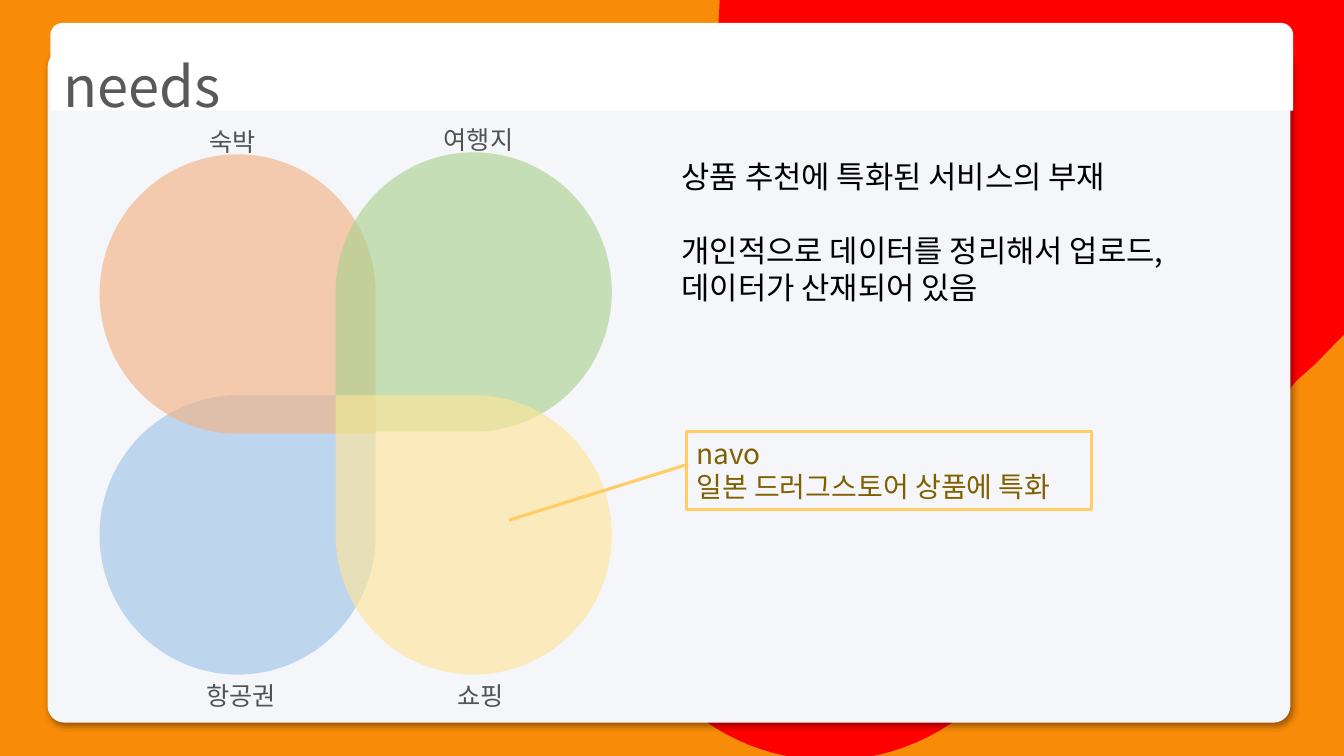
from lxml import etree
from pptx import Presentation
from pptx.dml.color import RGBColor
from pptx.enum.shapes import MSO_SHAPE
from pptx.enum.text import MSO_ANCHOR, PP_ALIGN
from pptx.oxml.ns import qn
from pptx.util import Cm, Pt

CARD = MSO_SHAPE.ROUNDED_RECTANGLE
HEADER = MSO_SHAPE.ROUND_2_SAME_RECTANGLE
PETAL = MSO_SHAPE.TEAR
CALLOUT = MSO_SHAPE.LINE_CALLOUT_1
LEFT, CENTER = PP_ALIGN.LEFT, PP_ALIGN.CENTER
TOP, MIDDLE = MSO_ANCHOR.TOP, MSO_ANCHOR.MIDDLE

FONT = "Noto Sans CJK KR"
COLORS = {
    "background": "F88B08", "swoosh": "FF0000", "card": "F5F6F9", "header": "FFFFFF",
    "title": "595959", "body": "000000", "label": "525252",
    "blue": "9DC3E6", "orange": "F4B183", "green": "A9D18E", "yellow": "FFE699",
    "callout_line": "FFCC66", "callout_text": "806000", "shadow": "000000",
}

TITLE = ["needs"]
BODY = ["상품 추천에 특화된 서비스의 부재", "개인적으로 데이터를 정리해서 업로드,데이터가 산재되어 있음"]
CALLOUT_LINES = ["navo", "일본 드러그스토어 상품에 특화"]

PETAL_SIZE = (6.96, 7.04)
PETALS = [
    ("blue", 2.51, 9.96, ()),
    ("orange", 2.51, 3.89, ("flipV",)),
    ("green", 8.46, 3.84, ("flipH", "flipV")),
    ("yellow", 8.46, 9.96, ("flipH",)),
]
LABEL_SIZE = (2.84, 1.14)
GROUPED_LABELS = [("숙박", 4.45, 3.07), ("여행지", 10.64, 3.0), ("항공권", 4.65, 17.02)]
SHOPPING_LABEL = ("쇼핑", 10.69, 17.02)

SWOOSH_START = (33.87, 0)
SWOOSH = [
    [(33.87, 8.43)], [(33.15, 9.17)], [(32.69, 9.58)], [(32.56, 9.73)],
    [(32.46, 9.88), (32.33, 10.01), (32.18, 10.16)],
    [(24.79, 17.55)],
    [(22.78, 19.56), (19.61, 19.69), (17.45, 17.93)],
    [(17.02, 17.55)], [(16.64, 17.15)],
    [(14.88, 14.99), (15.01, 11.79), (17.02, 9.78)],
    [(20.85, 5.97)], [(19.99, 5.11)],
    [(18.75, 3.84), (18.11, 2.18), (18.11, 0.56)],
    [(18.14, 0)],
]
CURVE_STEPS = 24


def rgb(name):
    return RGBColor.from_string(COLORS[name])


def paint(shape, color, opacity=100):
    shape.shadow.inherit = False
    shape.line.fill.background()
    shape.fill.solid()
    shape.fill.fore_color.rgb = rgb(color)
    if opacity < 100:
        tint = next(shape._element.spPr.iter(qn("a:srgbClr")))
        etree.SubElement(tint, qn("a:alpha"), val=str(opacity * 1000))


def add_shape(shapes, kind, left, top, width, height, adjustments=()):
    shape = shapes.add_shape(kind, Cm(left), Cm(top), Cm(width), Cm(height))
    for index, value in enumerate(adjustments):
        shape.adjustments[index] = value
    return shape


def write(box, lines, size, color, align=LEFT, anchor=TOP, gap=0, spacing=None):
    frame = box.text_frame
    frame.word_wrap = True
    frame.vertical_anchor = anchor
    frame.text = "\n".join(lines)
    for index, para in enumerate(frame.paragraphs):
        para.alignment = align
        if spacing:
            para.line_spacing = spacing
        if index and gap:
            para.space_before = Pt(gap)
        for span in para.runs:
            span.font.size = Pt(size)
            span.font.name = FONT
            span.font.color.rgb = rgb(color)
            etree.SubElement(span.font._element, qn("a:ea"), typeface=FONT)


def add_text(shapes, left, top, width, height):
    return shapes.add_textbox(Cm(left), Cm(top), Cm(width), Cm(height))


def add_label(shapes, text, left, top):
    write(add_text(shapes, left, top, *LABEL_SIZE), [text], 18, "label", CENTER)


def curve_points(start, first, second, end):
    for step in range(1, CURVE_STEPS + 1):
        t = step / CURVE_STEPS
        weights = ((1 - t) ** 3, 3 * t * (1 - t) ** 2, 3 * t * t * (1 - t), t ** 3)
        corners = (start, first, second, end)
        yield tuple(sum(w * c[axis] for w, c in zip(weights, corners)) for axis in (0, 1))


def add_swoosh(shapes):
    points = [SWOOSH_START]
    for segment in SWOOSH:
        points += segment if len(segment) == 1 else curve_points(points[-1], *segment)
    outline = [(Cm(x), Cm(y)) for x, y in points]
    builder = shapes.build_freeform(*outline[0])
    builder.add_line_segments(outline[1:], close=True)
    paint(builder.convert_to_shape(), "swoosh")


def add_card_shadow(card):
    effects = card._element.spPr.find(qn("a:effectLst"))
    outer = etree.SubElement(effects, qn("a:outerShdw"), blurRad=str(Pt(4)),
                             dist=str(Pt(3)), dir=str(45 * 60000), algn="tl", rotWithShape="0")
    tint = etree.SubElement(outer, qn("a:srgbClr"), val=COLORS["shadow"])
    etree.SubElement(tint, qn("a:alpha"), val="40000")


def add_diagram(shapes):
    diagram = shapes.add_group_shape().shapes
    for color, left, top, flips in PETALS:
        petal = add_shape(diagram, PETAL, left, top, *PETAL_SIZE)
        paint(petal, color, 63)
        for flip in flips:
            petal._element.spPr.xfrm.set(flip, "1")
    for label in GROUPED_LABELS:
        add_label(diagram, *label)


def main():
    deck = Presentation()
    deck.slide_width, deck.slide_height = Cm(33.87), Cm(19.05)
    page = deck.slides.add_slide(deck.slide_layouts[6])
    page.background.fill.solid()
    page.background.fill.fore_color.rgb = rgb("background")
    shapes = page.shapes

    add_swoosh(shapes)
    card = add_shape(shapes, CARD, 1.2, 1.26, 31.32, 16.95, (0.025,))
    paint(card, "card")
    add_card_shadow(card)
    header = add_shape(shapes, HEADER, 1.27, 0.58, 31.32, 2.21, (0.137, 0))
    paint(header, "header")
    write(header, TITLE, 40, "title", anchor=MIDDLE, spacing=1.5)
    write(add_text(shapes, 16.93, 3.86, 13.64, 4.01), BODY, 22, "body", gap=26)

    add_diagram(shapes)
    callout = add_shape(shapes, CALLOUT, 17.3, 10.87, 10.21, 1.96,
                        (0.423, 0.004, 1.142, -0.438))
    callout.shadow.inherit = False
    callout.fill.background()
    callout.line.color.rgb = rgb("callout_line")
    callout.line.width = Pt(2.25)
    write(callout, CALLOUT_LINES, 20, "callout_text")
    add_label(shapes, *SHOPPING_LABEL)

    deck.save("out.pptx")


if __name__ == "__main__":
    main()
